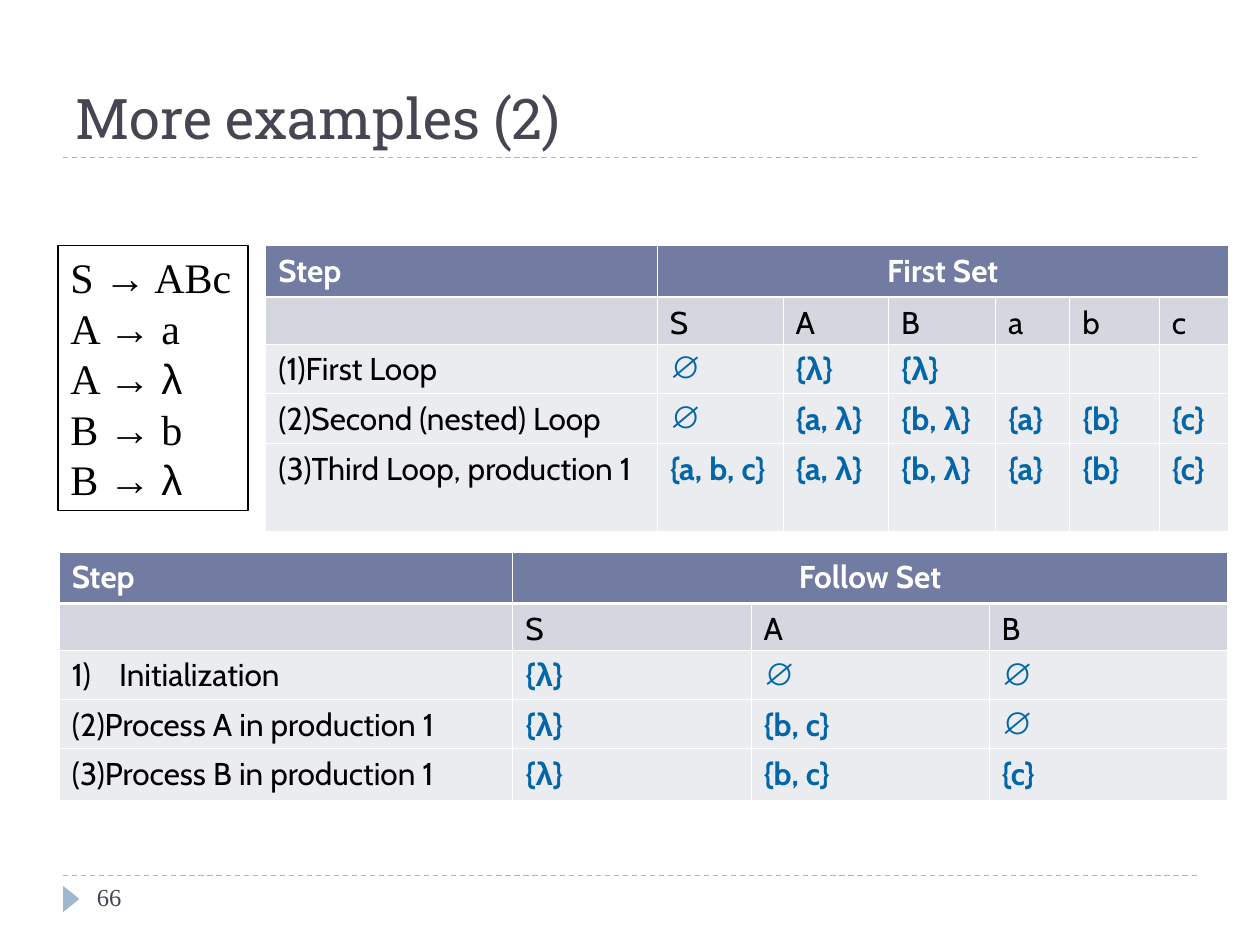
import collections
import itertools

import pptx
import pptx.dml.color
import pptx.enum.dml
import pptx.enum.shapes
import pptx.enum.text
import pptx.oxml.ns
import pptx.util
from lxml import etree

RGBColor = pptx.dml.color.RGBColor
BLACK = RGBColor(0x00, 0x00, 0x00)
WHITE = RGBColor(0xFF, 0xFF, 0xFF)
SLATE = RGBColor(0x46, 0x46, 0x53)
PALE_BLUE = RGBColor(0x9F, 0xB8, 0xCD)
HEADER_FILL = RGBColor(0x72, 0x7C, 0xA3)
SYMBOL_FILL = RGBColor(0xD5, 0xD7, 0xE0)
STEP_FILL = RGBColor(0xEB, 0xEC, 0xF0)
SET_BLUE = RGBColor(0x03, 0x66, 0xA9)

MATH_SYMBOLS = "→λ∅"
THIN, THICK = 0.45, 1.47
HEADER_ROWS = (4.1, 4)

# The slide is a grid of 100 columns and 75 rows.
SLIDE_WIDTH, SLIDE_HEIGHT = pptx.util.Inches(10), pptx.util.Inches(7.5)
Box = collections.namedtuple("Box", "left top width height")


def cols(count):
    return round(SLIDE_WIDTH * count / 100)


def rows(count):
    return round(SLIDE_HEIGHT * count / 75)


def place(box):
    return cols(box.left), rows(box.top), cols(box.width), rows(box.height)


def write(paragraph, text, font_name, size, color, bold=False):
    """Write the text, with its math symbols in Arial."""
    paragraph.font.size = pptx.util.Pt(size)
    paragraph.font.color.rgb = color
    paragraph.font.bold = bold
    for is_math, chars in itertools.groupby(text, lambda char: char in MATH_SYMBOLS):
        run = paragraph.add_run()
        run.text = "".join(chars)
        run.font.name = "Arial" if is_math else font_name


def add_rule(slide, box):
    rule = slide.shapes.add_connector(
        pptx.enum.shapes.MSO_CONNECTOR.STRAIGHT, cols(box.left), rows(box.top),
        cols(box.left + box.width), rows(box.top))
    rule.line.color.rgb = PALE_BLUE
    rule.line.width = pptx.util.Pt(0.75)
    rule.line.dash_style = pptx.enum.dml.MSO_LINE.DASH
    etree.SubElement(rule._element.spPr, pptx.oxml.ns.qn("a:effectLst"))


def add_heading(slide, box, text):
    title = slide.shapes.title
    title.left, title.top, title.width, title.height = place(box)
    frame = title.text_frame
    frame.auto_size = pptx.enum.text.MSO_AUTO_SIZE.NONE
    frame.vertical_anchor = pptx.enum.text.MSO_ANCHOR.BOTTOM
    paragraph = frame.paragraphs[0]
    paragraph.alignment = pptx.enum.text.PP_ALIGN.LEFT
    paragraph.line_spacing = 1.0
    write(paragraph, text, "Roboto Slab", 32, SLATE)
    add_rule(slide, box._replace(top=box.top + box.height))


def add_footer(slide, box, number):
    add_rule(slide, box)
    marker = slide.shapes.add_shape(
        pptx.enum.shapes.MSO_SHAPE.ISOSCELES_TRIANGLE,
        *place(Box(box.left - 0.4, box.top + 1.2, 2.1, 1.3)))
    marker.rotation = 90
    marker.shadow.inherit = False
    marker.fill.solid()
    marker.fill.fore_color.rgb = PALE_BLUE
    marker.line.fill.background()
    page = slide.shapes.add_textbox(
        *place(Box(box.left + 1.7, box.top, 21.7, box.height)))
    page.text_frame.word_wrap = True
    write(page.text_frame.paragraphs[0], number, "Times New Roman", 14, SLATE)


def add_grammar(slide, box, productions):
    grammar = slide.shapes.add_shape(pptx.enum.shapes.MSO_SHAPE.RECTANGLE, *place(box))
    grammar.shadow.inherit = False
    grammar.fill.background()
    grammar.line.color.rgb = BLACK
    grammar.line.width = pptx.util.Pt(0.75)
    frame = grammar.text_frame
    frame.word_wrap = False
    frame.auto_size = pptx.enum.text.MSO_AUTO_SIZE.SHAPE_TO_FIT_TEXT
    frame.vertical_anchor = pptx.enum.text.MSO_ANCHOR.TOP
    for index, production in enumerate(productions):
        paragraph = frame.add_paragraph() if index else frame.paragraphs[0]
        paragraph.alignment = pptx.enum.text.PP_ALIGN.LEFT
        write(paragraph, production, "Times New Roman", 24, BLACK)


def style_cell(cell, fill, top=THIN, bottom=THIN):
    """Draw white borders, given in points, and then the fill."""
    properties = cell._tc.get_or_add_tcPr()
    for side, width in zip("LRTB", (THIN, THIN, top, bottom)):
        border = etree.SubElement(
            properties, pptx.oxml.ns.qn(f"a:ln{side}"), w=str(pptx.util.Pt(width)))
        solid = etree.SubElement(border, pptx.oxml.ns.qn("a:solidFill"))
        etree.SubElement(solid, pptx.oxml.ns.qn("a:srgbClr"), val=str(WHITE))
    cell.fill.solid()
    cell.fill.fore_color.rgb = fill


def add_grid(slide, box, weights, row_heights):
    grid = slide.shapes.add_table(len(row_heights), len(weights), *place(box)).table
    grid.first_row = grid.horz_banding = False
    for column, weight in zip(grid.columns, weights):
        column.width = cols(box.width * weight / sum(weights))
    for row, height in zip(grid.rows, row_heights):
        row.height = rows(height)
    return grid


def add_set_header(slide, box, weights, set_name, symbols):
    header = add_grid(slide, box, weights, HEADER_ROWS)
    for column, symbol in enumerate(["", *symbols]):
        style_cell(header.cell(0, column), HEADER_FILL, bottom=THICK)
        style_cell(header.cell(1, column), SYMBOL_FILL, top=THICK)
        write(header.cell(1, column).text_frame.paragraphs[0], symbol, "Cabin", 18, BLACK)
    header.cell(0, 1).merge(header.cell(0, len(symbols)))
    for column, label in enumerate(("Step", set_name)):
        write(header.cell(0, column).text_frame.paragraphs[0], label, "Cabin", 18, WHITE, True)
    header.cell(0, 1).text_frame.paragraphs[0].alignment = pptx.enum.text.PP_ALIGN.CENTER


def number_paragraph(paragraph):
    properties = paragraph._p.get_or_add_pPr()
    indent = cols(3.75)
    properties.set("marL", str(indent))
    properties.set("indent", str(-indent))
    color = etree.SubElement(properties, pptx.oxml.ns.qn("a:buClr"))
    etree.SubElement(color, pptx.oxml.ns.qn("a:srgbClr"), val=str(BLACK))
    etree.SubElement(properties, pptx.oxml.ns.qn("a:buAutoNum"), type="arabicParenR")


def add_step(slide, box, weights, step, sets, numbered=False):
    cells = add_grid(slide, box, weights, [box.height]).rows[0].cells
    for column, (cell, text) in enumerate(zip(cells, [step, *sets])):
        style_cell(cell, STEP_FILL)
        paragraph = cell.text_frame.paragraphs[0]
        if numbered and column == 0:
            number_paragraph(paragraph)
        write(paragraph, text, "Cabin", 18, SET_BLUE if column else BLACK, column > 0)


def add_first_sets(slide, box):
    weights = (31.1, 10, 8.4, 8.5, 5.9, 7.1, 5.5)
    add_set_header(slide, box._replace(height=sum(HEADER_ROWS)), weights,
                   "First Set", ["S", "A", "B", "a", "b", "c"])
    known = ["{a, λ}", "{b, λ}", "{a}", "{b}", "{c}"]
    steps = [
        ("(1)First Loop", ["∅", "{λ}", "{λ}", "", "", ""], 4.1),
        ("(2)Second (nested) Loop", ["∅", *known], 4.1),
        ("(3)Third Loop, production 1", ["{a, b, c}", *known], 7),
    ]
    for index, (step, sets, height) in enumerate(steps):
        top = box.top + 7.8 + 3.95 * index
        add_step(slide, box._replace(top=top, height=height), weights, step, sets)


def add_follow_sets(slide, box):
    weights = (36, 18.9, 18.9, 18.9)
    add_set_header(slide, box._replace(height=sum(HEADER_ROWS)), weights,
                   "Follow Set", ["S", "A", "B"])
    steps = [
        ("Initialization", ["{λ}", "∅", "∅"]),
        ("(2)Process A in production 1", ["{λ}", "{b, c}", "∅"]),
        ("(3)Process B in production 1", ["{λ}", "{b, c}", "{c}"]),
    ]
    for index, (step, sets) in enumerate(steps):
        top = box.top + 7.8 + 3.9 * index
        add_step(slide, box._replace(top=top, height=4.1), weights, step, sets,
                 numbered=index == 0)


def main():
    deck = pptx.Presentation()
    deck.slide_width, deck.slide_height = SLIDE_WIDTH, SLIDE_HEIGHT
    slide = deck.slides.add_slide(deck.slide_layouts.get_by_name("Title Only"))
    add_heading(slide, Box(5, 1.7, 90, 10.8), "More examples (2)")
    add_footer(slide, Box(5, 69.5, 90, 4), "66")
    add_grammar(slide, Box(4.6, 19.5, 15.1, 21),
                ["S → ABc", "A → a", "A → λ", "B → b", "B → λ"])
    add_first_sets(slide, Box(21.1, 19.5, 76.4, 22.7))
    add_follow_sets(slide, Box(4.7, 43.8, 92.7, 19.7))
    deck.save("out.pptx")


if __name__ == "__main__":
    main()
